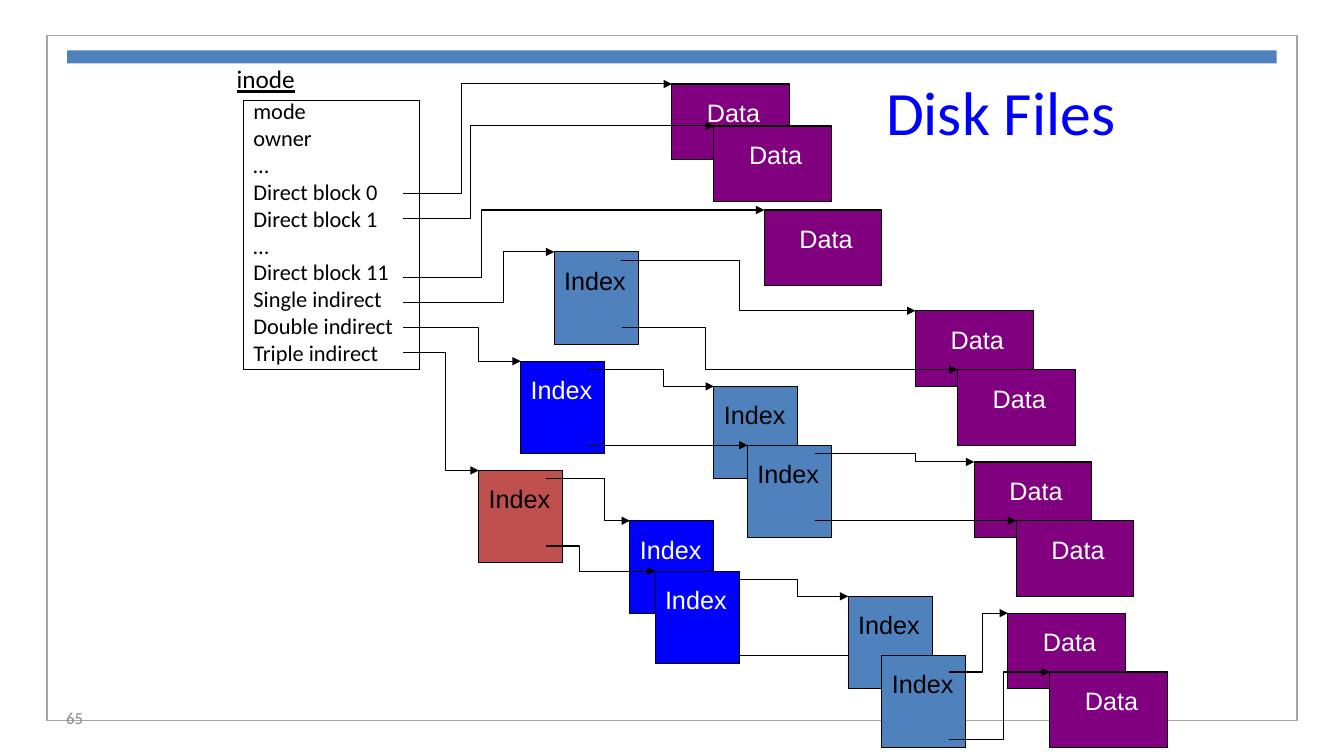
from lxml import etree
from pptx import Presentation
from pptx import util as u
from pptx.dml.color import RGBColor
from pptx.enum import shapes, text
from pptx.oxml import ns

GRID = 2.54 / 12  # the diagram sits on a grid of twelfths of an inch, in cm
BLACK, WHITE, GREY = "000000", "FFFFFF", "898989"
PURPLE, STEEL, BLUE, RED = "800080", "4F81BD", "0000FF", "C0504D"


def g(n):
    return u.Cm(n * GRID)


def rgb(value):
    return RGBColor.from_string(value)


class Sketch:
    """Style and current slide, with one method per kind of element."""

    body, label = "Calibri", "Arial"
    thin = u.Pt(0.75)

    def __init__(self, slide):
        self.shapes = slide.shapes

    def rect(self, x, y, w, h, fill=None, line=BLACK, width=thin):
        s = self.shapes.add_shape(shapes.MSO_SHAPE.RECTANGLE, x, y, w, h)
        s.shadow.inherit = False
        if fill:
            s.fill.solid()
            s.fill.fore_color.rgb = rgb(fill)
        else:
            s.fill.background()
        if line:
            s.line.color.rgb = rgb(line)
            s.line.width = width
        else:
            s.line.fill.background()

    def text(self, x, y, w, h, lines, size, color, font=body, wrap=False,
             align=text.PP_ALIGN.LEFT, anchor=text.MSO_ANCHOR.TOP,
             spacing=None, underline=None):
        tf = self.shapes.add_textbox(x, y, w, h).text_frame
        tf.word_wrap = wrap
        tf.vertical_anchor = anchor
        for i, line in enumerate(lines):
            p = tf.add_paragraph() if i else tf.paragraphs[0]
            p.alignment = align
            p.line_spacing = spacing
            r = p.add_run()
            r.text = line
            r.font.name = font
            r.font.size = u.Pt(size)
            r.font.color.rgb = rgb(color)
            r.font.underline = underline

    def data(self, x, y):
        self.rect(g(x), g(y), g(14), g(9), PURPLE)
        self.text(g(x + 3), g(y + 1), u.Cm(1.85), u.Cm(1.02), ["Data"],
                  18, WHITE, self.label)

    def index(self, x, y, fill=STEEL):
        self.rect(g(x), g(y), g(10), g(11), fill)
        self.text(g(x), g(y + 1), u.Cm(2.08), u.Cm(1.02), ["Index"],
                  18, WHITE if fill == BLUE else BLACK, self.label)

    def style_line(self, s):
        s.line.color.rgb = rgb(BLACK)
        s.line.width = self.thin
        etree.SubElement(s.line._get_or_add_ln(), ns.qn("a:tailEnd"), type="triangle")

    def step(self, x, y, bend, end_x, end_y):
        """Pointer that turns at the column called bend."""
        fb = self.shapes.build_freeform(g(x), g(y))
        fb.add_line_segments([(g(bend), g(y)), (g(bend), g(end_y)),
                              (g(end_x), g(end_y))], close=False)
        s = fb.convert_to_shape()
        s.shadow.inherit = False
        s.fill.background()
        self.style_line(s)

    def arrow(self, x, y, end_x):
        s = self.shapes.add_connector(shapes.MSO_CONNECTOR.STRAIGHT,
                                      g(x), g(y), g(end_x), g(y))
        self.style_line(s)
        etree.SubElement(s._element.spPr, ns.qn("a:effectLst"))


def main():
    prs = Presentation()
    prs.slide_width, prs.slide_height = u.Cm(33.87), u.Cm(19.05)
    sk = Sketch(prs.slides.add_slide(prs.slide_layouts[6]))

    # Frame, top bar and title
    sk.rect(u.Cm(1.19), u.Cm(0.89), u.Cm(31.5), u.Cm(17.27),
            line="A6A6A6", width=u.Pt(1))
    sk.rect(g(8), g(6), g(144), u.Cm(0.33), STEEL, line=None)
    sk.text(g(32), g(8), g(102), g(7), ["Disk Files"], 44, BLUE, wrap=True,
            align=text.PP_ALIGN.RIGHT, spacing=u.Pt(54))

    # Inode
    sk.data(80, 10)
    sk.text(g(29), g(11), u.Cm(4.04), u.Cm(7.04),
            ["mode", "owner", "…", "Direct block 0", "Direct block 1", "…",
             "Direct block 11", "Single indirect", "Double indirect",
             "Triple indirect"], 16, BLACK)
    sk.text(g(27), g(7), u.Cm(2.01), u.Cm(1.02), ["inode"], 18, BLACK,
            underline=True)
    sk.rect(g(29), g(12), g(21), g(32))

    # Direct blocks
    sk.step(48, 23, 55, 80, 10)
    sk.data(85, 15)
    sk.step(48, 26, 56, 85, 15)
    sk.data(91, 25)
    sk.step(48, 33, 57.33, 91, 25)

    # Single indirect
    sk.index(66, 30)
    sk.step(48, 36, 60, 66, 30)
    sk.data(109, 37)
    sk.data(114, 44)
    sk.step(74, 31, 88, 109, 37)
    sk.step(74, 39, 84, 114, 44)

    # Double indirect
    sk.index(62, 43, BLUE)
    sk.index(85, 46)
    sk.index(89, 53)
    sk.step(70, 44, 79, 85, 46)
    sk.step(48, 39, 57, 62, 43)
    sk.data(116, 55)
    sk.data(121, 62)
    sk.step(97, 54, 109, 116, 55)
    sk.arrow(97, 62, 121)
    sk.arrow(70, 53, 89)

    # Triple indirect
    sk.step(86, 69, 95, 101, 71)
    sk.arrow(86, 78, 105)
    sk.index(57, 56, RED)
    sk.step(48, 42, 53, 57, 56)
    sk.index(75, 62, BLUE)
    sk.index(78, 68, BLUE)
    sk.step(65, 57, 72, 75, 62)
    sk.step(65, 65, 69, 78, 68)
    sk.index(101, 71)
    sk.index(105, 78)
    sk.data(120, 73)
    sk.data(125, 80)
    sk.step(113, 80, 117, 120, 73)
    sk.step(113, 88, 119.5, 125, 80)

    # Slide number
    sk.text(u.Cm(1.42), u.Cm(17.58), u.Cm(3.66), u.Cm(1.02), ["65"], 12, GREY,
            wrap=True, anchor=text.MSO_ANCHOR.MIDDLE)

    prs.save("out.pptx")


if __name__ == "__main__":
    main()
